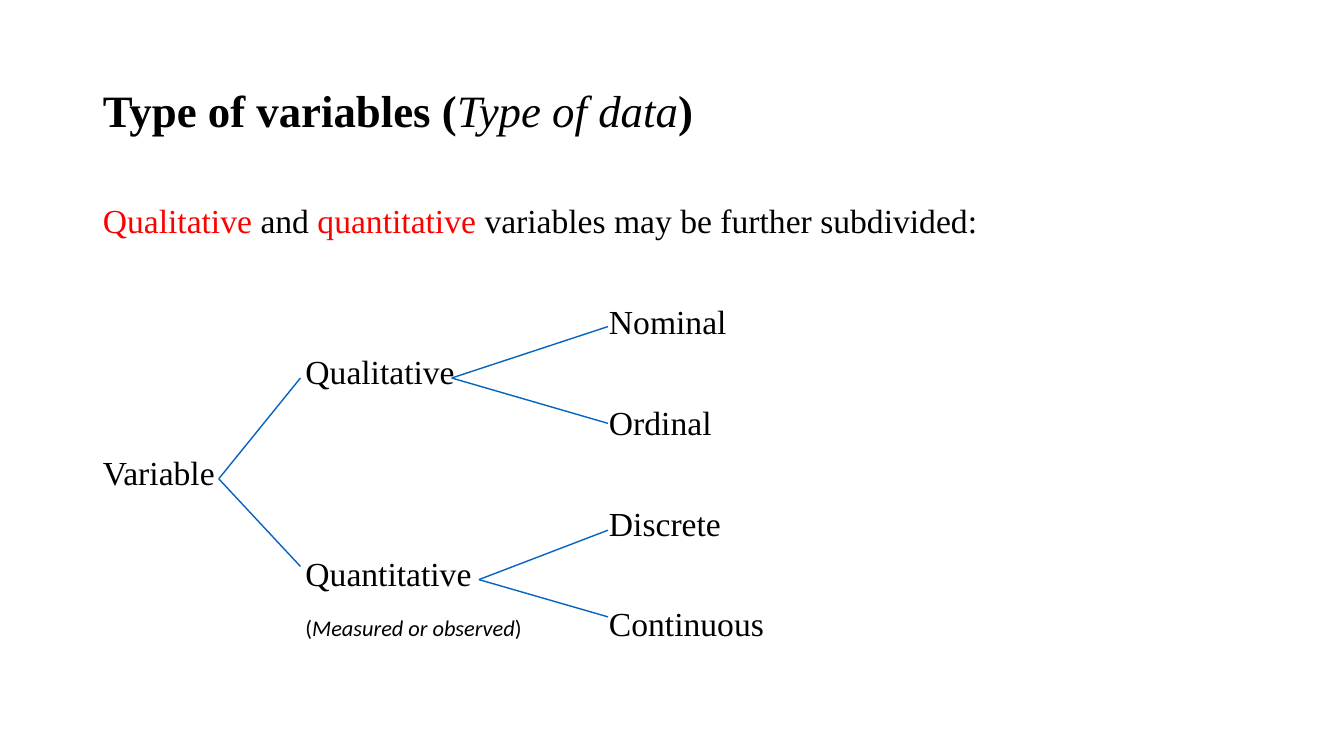
from lxml import etree
from pptx import Presentation
from pptx.dml.color import RGBColor
from pptx.enum.shapes import MSO_CONNECTOR
from pptx.enum.text import MSO_ANCHOR, PP_ALIGN
from pptx.oxml.ns import qn
from pptx.util import Pt

PX = 9144
TITLE_ONLY = 5
LEFT = PP_ALIGN.LEFT
MIDDLE = MSO_ANCHOR.MIDDLE
STRAIGHT = MSO_CONNECTOR.STRAIGHT

BLACK = RGBColor(0x00, 0x00, 0x00)
RED = RGBColor(0xFF, 0x00, 0x00)
BLUE = RGBColor(0x05, 0x63, 0xC1)
SERIF = "Times New Roman"
SANS = "Calibri"

ROW = 50
COLUMNS = (0, 201, 502)
LABELS = [
    ("Variable", 0, 3),
    ("Qualitative", 1, 1),
    ("Quantitative", 1, 5),
    ("Nominal", 2, 0),
    ("Ordinal", 2, 2),
    ("Discrete", 2, 4),
    ("Continuous", 2, 6),
]
BRANCHES = [
    ((115, 179), [(196, 79), (196, 266)]),
    ((346, 79), [(501, 28), (501, 124)]),
    ((373, 279), [(501, 230), (501, 316)]),
]


def style_paragraph(para, size, font=SERIF):
    para.alignment = LEFT
    para.line_spacing = 0.9
    para.font.size = Pt(size)
    para.font.name = font
    para.font.color.rgb = BLACK


def add_span(para, text, bold=None, italic=None, color=None):
    span = para.add_run()
    span.text = text
    span.font.bold = bold
    span.font.italic = italic
    if color is not None:
        span.font.color.rgb = color


def add_line_of_text(page, left, top, width, size=24, font=SERIF):
    box = page.shapes.add_textbox(left * PX, top * PX, width * PX, ROW * PX)
    frame = box.text_frame
    frame.word_wrap = True
    frame.vertical_anchor = MIDDLE
    frame.margin_left = frame.margin_right = 0
    frame.margin_top = frame.margin_bottom = 0
    para = frame.paragraphs[0]
    style_paragraph(para, size, font)
    return para


def add_branch(page, start, end):
    branch = page.shapes.add_connector(
        STRAIGHT, *(length * PX for length in (*start, *end)))
    branch.line.color.rgb = BLUE
    branch.line.width = Pt(1)
    etree.SubElement(branch._element.spPr, qn("a:effectLst"))


def fill_title(page, left, top, width, height):
    title = page.shapes.title
    title.left, title.top = left * PX, top * PX
    title.width, title.height = width * PX, height * PX
    title.text_frame.vertical_anchor = MIDDLE
    para = title.text_frame.paragraphs[0]
    style_paragraph(para, 32)
    add_span(para, "Type of variables (", bold=True)
    add_span(para, "Type of data", bold=False, italic=True)
    add_span(para, ")", bold=True)


def add_introduction(page, left, top, width):
    para = add_line_of_text(page, left, top, width)
    add_span(para, "Qualitative", color=RED)
    add_span(para, " and ")
    add_span(para, "quantitative", color=RED)
    add_span(para, " variables may be further subdivided:")


def add_variable_tree(page, left, top):
    for text, column, row in LABELS:
        para = add_line_of_text(page, left + COLUMNS[column], top + row * ROW, 190)
        add_span(para, text)
    note = add_line_of_text(page, left + COLUMNS[1], top + 6 * ROW + 3, 260, 16, SANS)
    add_span(note, "(")
    add_span(note, "Measured or observed", italic=True)
    add_span(note, ")")
    for (start_x, start_y), ends in BRANCHES:
        for end_x, end_y in ends:
            add_branch(page, (left + start_x, top + start_y),
                       (left + end_x, top + end_y))


def main():
    deck = Presentation()
    deck.slide_width, deck.slide_height = 1333 * PX, 750 * PX
    page = deck.slides.add_slide(deck.slide_layouts[TITLE_ONLY])
    fill_title(page, 92, 40, 1150, 145)
    add_introduction(page, 102, 196, 1130)
    add_variable_tree(page, 102, 296)
    deck.save("out.pptx")


if __name__ == "__main__":
    main()
